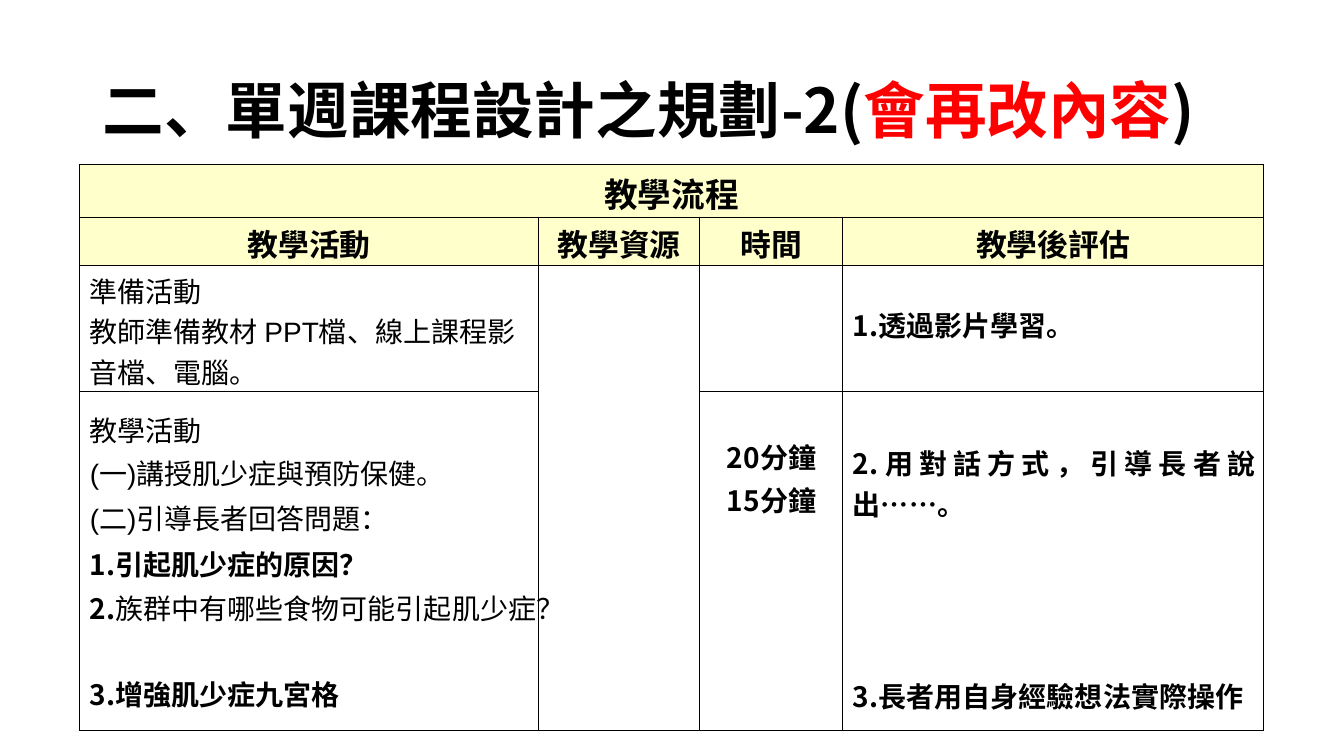
from lxml import etree
from pptx import Presentation, util as u
from pptx.dml.color import RGBColor
from pptx.enum import text
from pptx.oxml import ns

BLACK = RGBColor(0, 0, 0)
RED = RGBColor(255, 0, 0)
CREAM = RGBColor(255, 255, 204)
SANS, TITLE, PLAIN = "Noto Sans CJK TC", "Noto Sans CJK SC", "Arial"
MID = text.PP_ALIGN.CENTER

BOLD = dict(name=SANS, bold=True, size=u.Pt(20))
BODY = dict(name=PLAIN, bold=False, size=u.Pt(20))
HEAD = dict(name=SANS, bold=True, size=u.Pt(22))
TOP = dict(HEAD, size=u.Pt(24))
NAME = dict(name=TITLE, bold=True, size=u.Pt(44))

COLS = [4.55, 1.6, 1.42, 4.17]
ROWS = [0.46, 0.43, 1.12, 1.23, 0.39, 0.39, 0.61]
EDGES = ["LRTB", "LRTB", "LRTB", "LRT", "LR", "LR", "LRB"]
LABELS = ["教學活動", "教學資源", "時間", "教學後評估"]

# (row, column): top margin, left indent, lines of (space before, runs)
CELLS = {
    (2, 0): (0.04, 0.1, [(0, [("準備活動", BODY)]),
                         (0, [("教師準備教材 PPT檔、線上課程影 音檔、電腦。", BODY)])]),
    (2, 3): (0.38, 0.1, [(0, [("1.透過影片學習。", BOLD)])]),
    (3, 0): (0.17, 0.1, [(0, [("教學活動", BODY)]),
                         (1.8, [("(一)講授肌少症與預防保健。", BODY)]),
                         (3.1, [("(二)引導長者回答問題：", BODY)])]),
    (3, 2): (0.44, 0.27, [(0, [("20分鐘", BOLD)]), (1.9, [("15分鐘", BOLD)])]),
    (3, 3): (0.5, 0.1, [(0, [("2. ", BOLD), ("用對話方式", BOLD, 4.4),
                             ("， ", BOLD), ("引導長者", BOLD, 4.4),
                             ("說 出……。", BOLD)])]),
    (4, 0): (0.05, 0.1, [(0, [("1.引起肌少症的原因？", BOLD)])]),
    (5, 0): (0.04, 0.1, [(0, [("2.", BOLD),
                              ("族群中有哪些食物可能引起肌少症？", dict(BOLD, bold=False))])]),
    (6, 0): (0.04, 0.1, [(0, [("3.增強肌少症九宮格", BOLD)])]),
    (6, 3): (0.06, 0.1, [(0, [("3.長者用自身經驗想法實際操作", BOLD)])]),
}


def put(obj, vals):
    for key, val in vals.items():
        setattr(obj, key, val)


def add_run(para, words, face, gap=0, color=BLACK):
    run = para.add_run()
    run.text = words
    put(run.font, face)
    run.font.color.rgb = color
    props = run._r.get_or_add_rPr()
    cjk = SANS if face["name"] == PLAIN else face["name"]
    etree.SubElement(props, ns.qn("a:ea")).set("typeface", cjk)
    if gap:
        props.set("spc", str(round(gap * 100)))


def fill_text(frame, lines, indent=0, align=None):
    for i, (before, runs) in enumerate(lines):
        para = frame.add_paragraph() if i else frame.paragraphs[0]
        put(para, dict(alignment=align, space_before=u.Pt(before)))
        para._p.get_or_add_pPr().set("marL", str(u.Inches(indent)))
        for run in runs:
            add_run(para, *run)


def set_edges(cell, sides):
    props = cell._tc.get_or_add_tcPr()
    for side in "LRTB":
        line = etree.SubElement(props, ns.qn("a:ln" + side), w=str(u.Pt(0.75)))
        if side in sides:
            paint = etree.SubElement(line, ns.qn("a:solidFill"))
            etree.SubElement(paint, ns.qn("a:srgbClr"), val=str(BLACK))
        else:
            etree.SubElement(line, ns.qn("a:noFill"))


def add_title(slide, left, top, width, height):
    frame = slide.shapes.add_textbox(*map(u.Inches, (left, top, width, height))).text_frame
    put(frame, dict(word_wrap=True, vertical_anchor=text.MSO_ANCHOR.MIDDLE))
    fill_text(frame, [(0, [("二、單週課程設計之規劃-2(", NAME),
                           ("會再改內容", NAME, 0, RED), (")", NAME)])])
    frame.paragraphs[0].line_spacing = 0.9


def add_plan(slide, left, top, width, height):
    grid = slide.shapes.add_table(len(ROWS), len(COLS),
                                  *map(u.Inches, (left, top, width, height))).table
    put(grid, dict(first_row=False, horz_banding=False))
    for col, size in zip(grid.columns, COLS):
        col.width = u.Inches(size)
    for row, size in zip(grid.rows, ROWS):
        row.height = u.Inches(size)

    # Borders and fills
    for r, sides in enumerate(EDGES):
        for c in range(len(COLS)):
            cell = grid.cell(r, c)
            set_edges(cell, sides)
            if r < 2:
                cell.fill.solid()
                cell.fill.fore_color.rgb = CREAM
            else:
                cell.fill.background()
    grid.cell(0, 0).merge(grid.cell(0, 3))
    grid.cell(2, 1).merge(grid.cell(6, 1))

    # Headings, then lesson steps
    heads = {(0, 0): (0.04, 0, [(0, [("教學流程", TOP)])])}
    for c, label in enumerate(LABELS):
        heads[1, c] = (0.04, 0, [(0, [(label, HEAD)])])
    for spot, (gap, indent, lines) in (heads | CELLS).items():
        cell = grid.cell(*spot)
        put(cell, dict(margin_left=0, margin_right=0, margin_bottom=0,
                       margin_top=u.Inches(gap)))
        fill_text(cell.text_frame, lines, indent, MID if spot in heads else None)


deck = Presentation()
put(deck, dict(slide_width=u.Inches(13.33), slide_height=u.Inches(7.5)))
page = deck.slides.add_slide(deck.slide_layouts[6])
add_plan(page, 0.79, 1.63, sum(COLS), sum(ROWS))
add_title(page, 0.92, 0.4, 11.5, 1.45)
deck.save("out.pptx")
